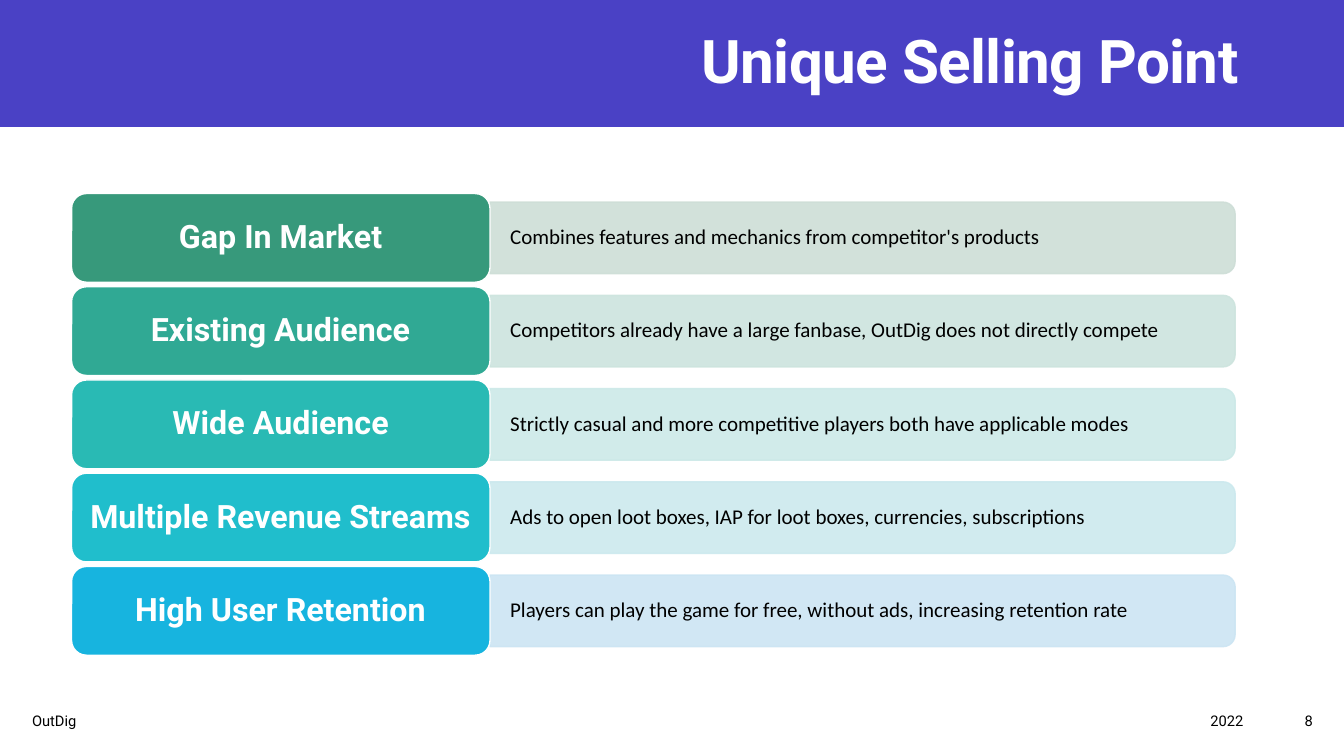
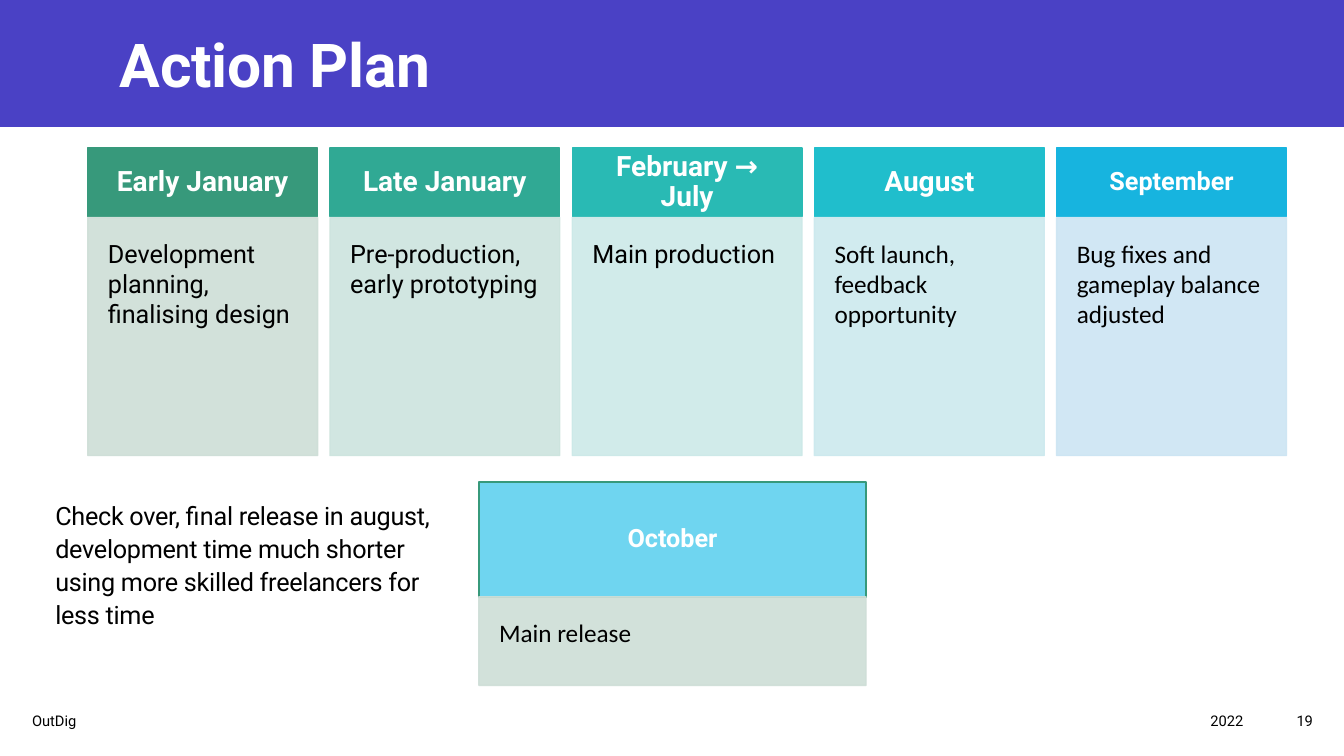
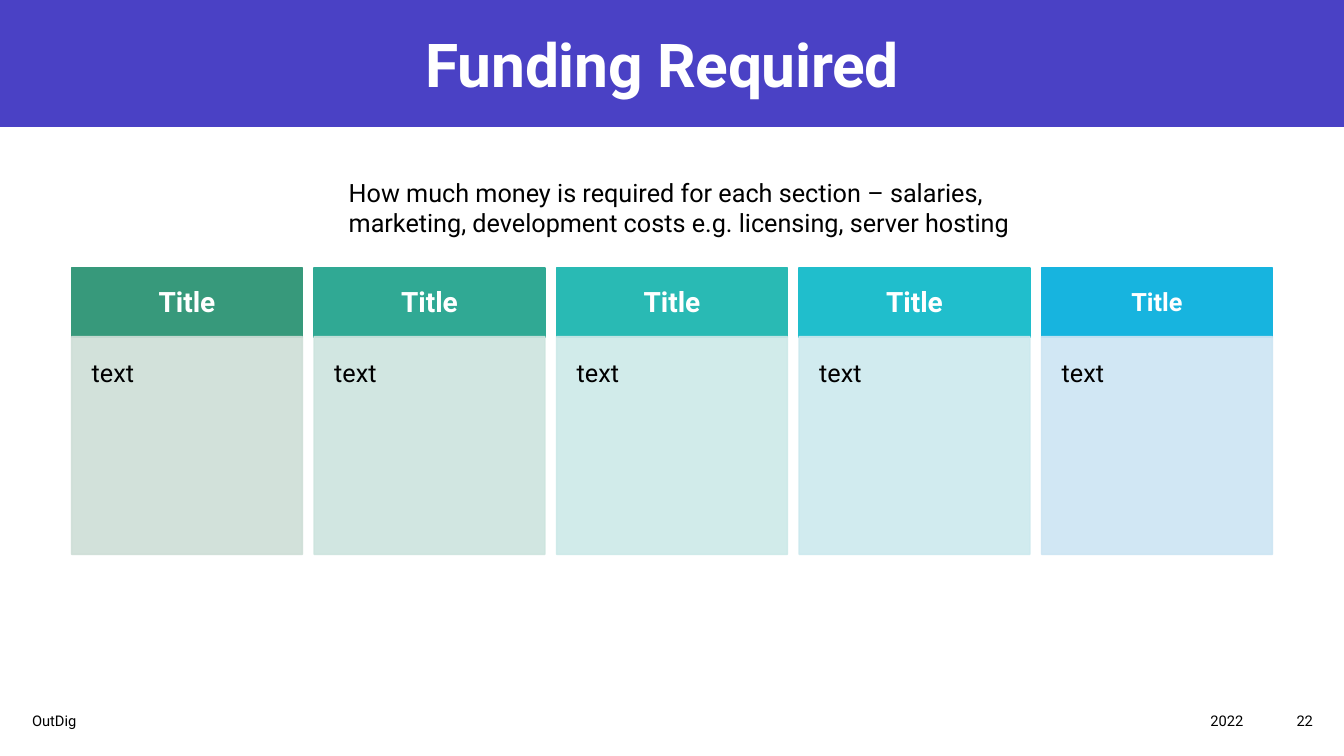
from pptx import Presentation
from pptx.dml.color import RGBColor
from pptx.enum.shapes import MSO_SHAPE
from pptx.enum.text import MSO_ANCHOR, PP_ALIGN
from pptx.oxml.ns import qn
from pptx.util import Inches, Pt
from lxml import etree

RECTANGLE = MSO_SHAPE.RECTANGLE
ROUNDED = MSO_SHAPE.ROUNDED_RECTANGLE
ROUNDED_TOP = MSO_SHAPE.ROUND_2_SAME_RECTANGLE
LEFT, CENTER, RIGHT = PP_ALIGN.LEFT, PP_ALIGN.CENTER, PP_ALIGN.RIGHT
TOP, MIDDLE = MSO_ANCHOR.TOP, MSO_ANCHOR.MIDDLE

COLORS = {
    "band": "4A41C5", "white": "FFFFFF", "black": "000000",
    "green": "37997B", "jade": "30A994", "teal": "29BAB4",
    "cyan": "20BECC", "blue": "17B4DF", "sky": "6FD5F0",
    "pale green": "CEDED7", "pale jade": "CDE4DE", "pale teal": "CCE9E8",
    "pale cyan": "CCE9EE", "pale blue": "CCE5F3",
}
HUES = ["green", "jade", "teal", "cyan", "blue"]
HEADING, BODY = "Roboto", "Calibri"


def add_box(page, at, text="", size=18, font=HEADING, color="black", bold=False,
            align=LEFT, anchor=MIDDLE, insets=(0.1, 0.05), line_spacing=None,
            tracking=0, fill=None, line=None, kind=RECTANGLE, opacity=100):
    """Add a filled shape, or a text box when there is no fill; at is in inches."""
    place = [Inches(length) for length in at]
    if fill:
        box = page.shapes.add_shape(kind, *place)
        box.shadow.inherit = False
        box.fill.solid()
        box.fill.fore_color.rgb = RGBColor.from_string(COLORS[fill])
        if line:
            box.line.color.rgb = RGBColor.from_string(COLORS[line])
            box.line.width = Pt(1)
        else:
            box.line.fill.background()
        if opacity < 100:
            for tint in box._element.spPr.iter(qn("a:srgbClr")):
                etree.SubElement(tint, qn("a:alpha"), val=str(opacity * 1000))
    else:
        box = page.shapes.add_textbox(*place)
    if text:
        frame = box.text_frame
        frame.word_wrap = True
        frame.vertical_anchor = anchor
        frame.margin_left = frame.margin_right = Inches(insets[0])
        frame.margin_top = frame.margin_bottom = Inches(insets[1])
        frame.text = text
        para = frame.paragraphs[0]
        para.alignment = align
        para.line_spacing = line_spacing
        span = para.runs[0]
        span.font.name = font
        span.font.size = Pt(size)
        span.font.bold = bold
        span.font.color.rgb = RGBColor.from_string(COLORS[color])
        if tracking:
            span._r.get_or_add_rPr().set("spc", str(round(tracking * 100)))
    return box


def add_card(page, left, width, head_top, head_height, body_top, body_height, head, body,
             hue, pale, outline, head_size=20, head_inset=0.18, body_font=HEADING):
    """Add a coloured heading with a pale text panel below it."""
    add_box(page, (left, head_top, width, head_height), head, head_size, color="white",
            bold=True, align=CENTER, insets=(head_inset, head_inset), line_spacing=0.9,
            fill=hue, line=outline)
    add_box(page, (left, body_top, width, body_height), body, font=body_font, anchor=TOP,
            insets=(0.2, 0.2), fill=pale, line=pale, opacity=90)


deck = Presentation()
deck.slide_width, deck.slide_height = Inches(13.33), Inches(7.5)

# Band, title and footer of every slide
titles = [
    ("Unique Selling Point", "8", (1.08, 0.21, 11.3, 0.85), RIGHT, 43, 0.9, -0.4),
    ("Action Plan", "19", (1.09, 0.21, 10.96, 0.83), LEFT, 43.2, None, -0.2),
    ("Funding Required", "22", (1.09, 0.21, 10.96, 0.83), CENTER, 43.2, None, -0.2),
]
pages = []
for title, number, at, align, size, line_spacing, tracking in titles:
    page = deck.slides.add_slide(deck.slide_layouts[6])
    add_box(page, (0, 0, 13.33, 1.26), fill="band")
    add_box(page, at, title, size, color="white", bold=True, align=align,
            line_spacing=line_spacing, tracking=tracking)
    for left, width, text, side in [(0.22, 5.29, "OutDig", LEFT),
                                    (7.67, 4.76, "2022", RIGHT),
                                    (12.43, 0.69, number, RIGHT)]:
        add_box(page, (left, 6.95, width, 0.4), text, 10.5, align=side)
    pages.append(page)
selling_page, plan_page, funding_page = pages

# Unique Selling Point
points = [
    ("Gap In Market", "Combines features and mechanics from competitor's products"),
    ("Existing Audience",
     "Competitors already have a large fanbase, OutDig does not directly compete"),
    ("Wide Audience", "Strictly casual and more competitive players both have applicable modes"),
    ("Multiple Revenue Streams",
     "Ads to open loot boxes, IAP for loot boxes, currencies, subscriptions"),
    ("High User Retention",
     "Players can play the game for free, without ads, increasing retention rate"),
]
label_left, label_width, label_height = 0.71, 4.15, 0.88
bar_left, bar_width, bar_height = 4.86, 7.39, 0.71
row_step = (5.62 - 1.92) / 4
for row, ((label, detail), hue) in enumerate(zip(points, HUES)):
    top = 1.92 + row * row_step
    middle = top + label_height / 2
    pale = "pale " + hue
    bar = add_box(selling_page,
                  (bar_left + (bar_width - bar_height) / 2, middle - bar_width / 2,
                   bar_height, bar_width),
                  fill=pale, line=pale, kind=ROUNDED_TOP, opacity=90)
    bar.rotation = 90
    add_box(selling_page, (bar_left, middle - 0.32, 7.35, 0.64), detail, 15, BODY,
            insets=(0.2, 0.2), line_spacing=0.9)
    add_box(selling_page, (label_left, top, label_width, label_height), label, 23,
            color="white", bold=True, align=CENTER, line_spacing=0.9,
            fill=hue, line="white", kind=ROUNDED)

# Action Plan and Funding Required
steps = [
    ("Early January", "Development planning, finalising design", HEADING),
    ("Late January", "Pre-production, early prototyping", HEADING),
    ("February → July", "Main production", HEADING),
    ("August", "Soft launch, feedback opportunity", BODY),
    ("September", "Bug fixes and gameplay balance adjusted", BODY),
]
costs = [("Title", "text", HEADING)] * 5
card_rows = [
    (plan_page, steps, 0.87, 10.48, 2.28, (1.47, 0.68, 2.16, 2.36)),
    (funding_page, costs, 0.71, 10.33, 2.29, (2.66, 0.69, 3.34, 2.16)),
]
for page, cards, first_left, last_left, width, heights in card_rows:
    card_step = (last_left - first_left) / (len(cards) - 1)
    for column, ((head, body, body_font), hue) in enumerate(zip(cards, HUES)):
        add_card(page, first_left + column * card_step, width, *heights, head, body,
                 hue, "pale " + hue, hue, head_size=18 if hue == "blue" else 20,
                 body_font=body_font)

add_card(plan_page, 4.75, 3.84, 4.78, 1.15, 5.92, 0.88, "October", "Main release",
         "sky", "pale green", "green", head_size=18, head_inset=0.3, body_font=BODY)
add_box(plan_page, (0.45, 4.88, 4.08, 1.55),
        "Check over, final release in august, development time much shorter "
        "using more skilled freelancers for less time",
        anchor=TOP, line_spacing=1.1, tracking=-0.2)
add_box(funding_page, (3.36, 1.71, 7.09, 0.71),
        "How much money is required for each section – salaries, marketing, "
        "development costs e.g. licensing, server hosting", anchor=TOP)

deck.save("out.pptx")
